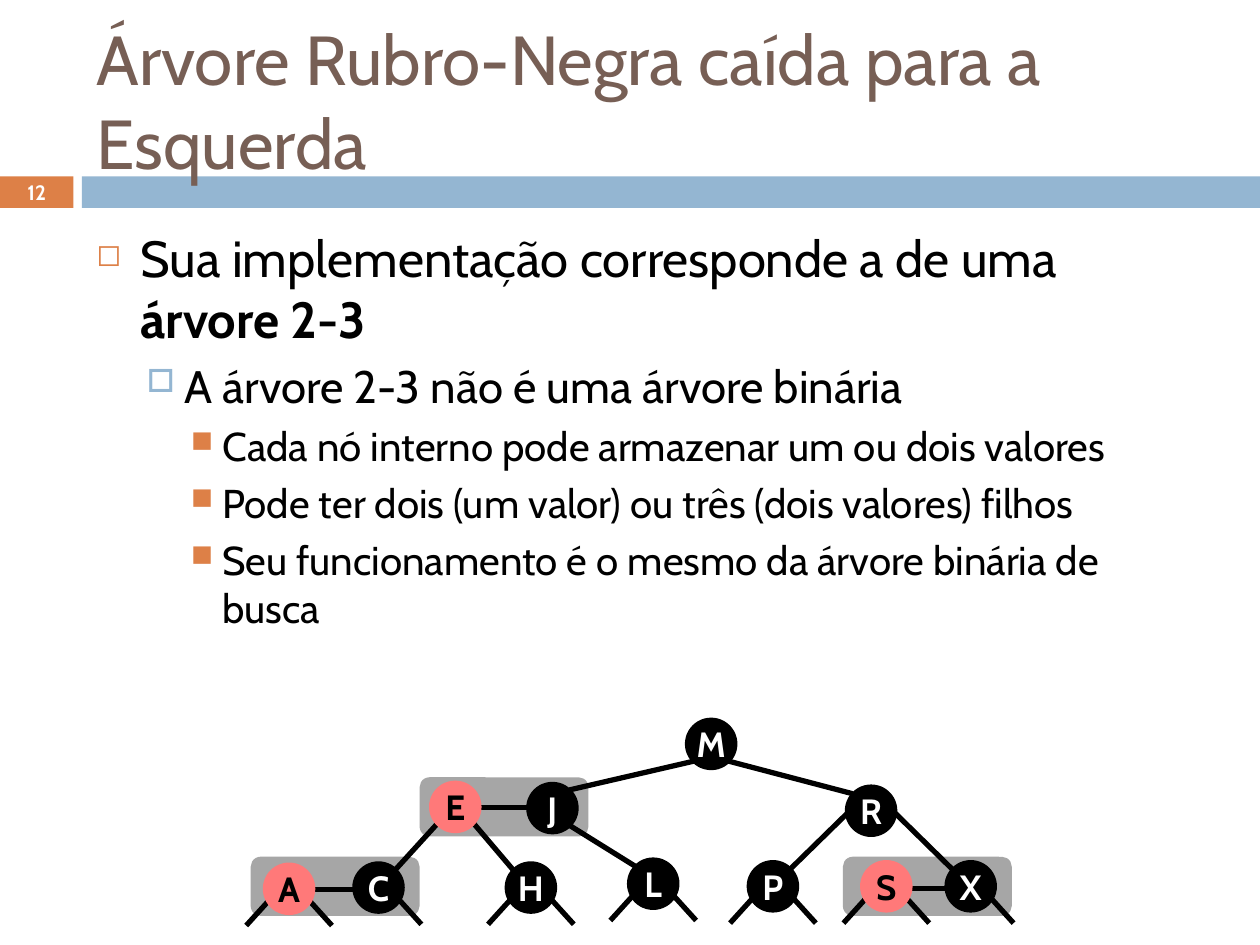
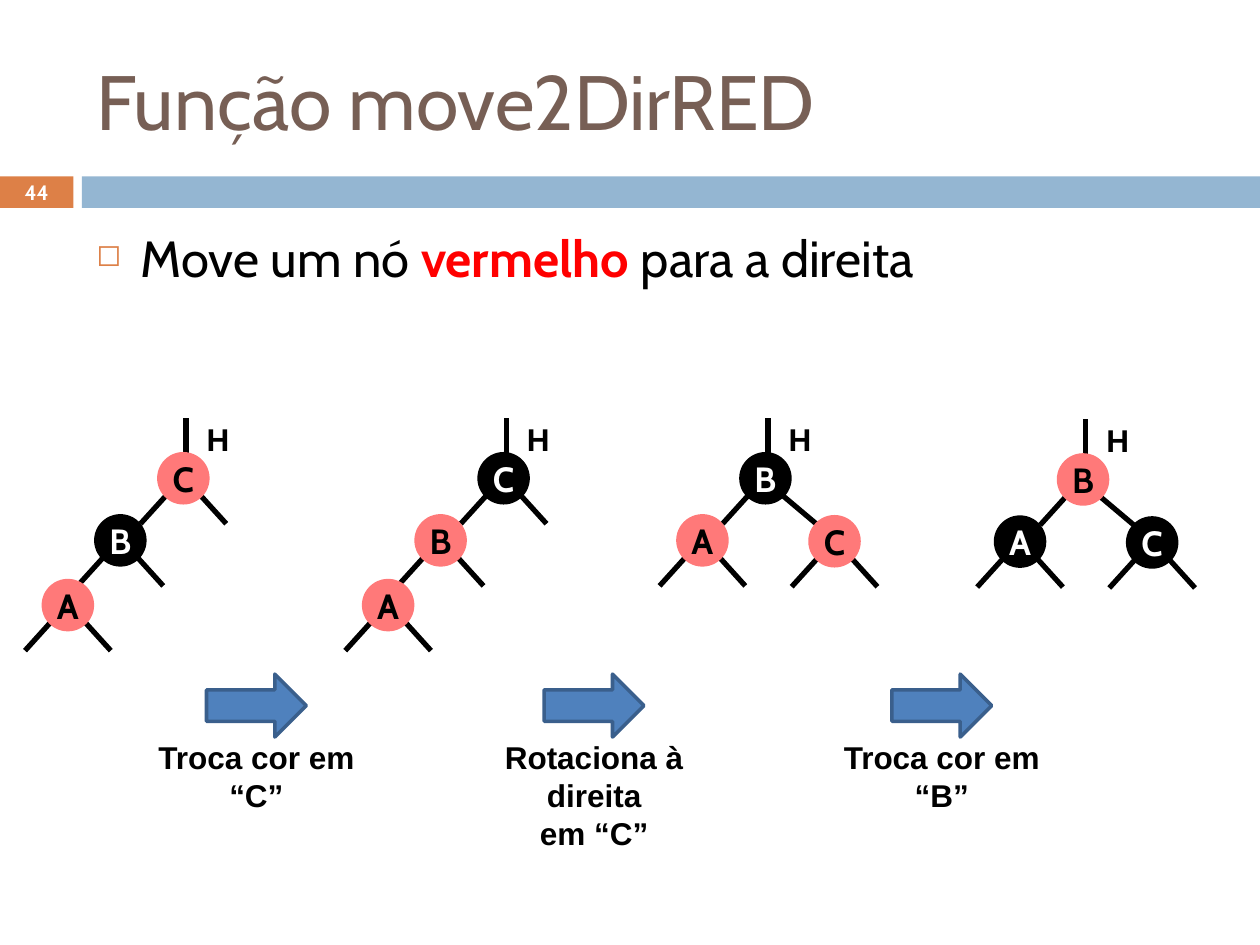
from lxml import etree
from pptx import Presentation
from pptx.dml.color import RGBColor
from pptx.enum.shapes import MSO_CONNECTOR, MSO_SHAPE
from pptx.enum.text import MSO_ANCHOR, MSO_AUTO_SIZE, PP_ALIGN
from pptx.oxml.ns import qn
from pptx.util import Pt

RECTANGLE, ROUNDED = MSO_SHAPE.RECTANGLE, MSO_SHAPE.ROUNDED_RECTANGLE
OVAL, RIGHT_ARROW = MSO_SHAPE.OVAL, MSO_SHAPE.RIGHT_ARROW
STRAIGHT = MSO_CONNECTOR.STRAIGHT
MIDDLE = MSO_ANCHOR.MIDDLE
NO_AUTOFIT = MSO_AUTO_SIZE.NONE
LEFT, CENTER = PP_ALIGN.LEFT, PP_ALIGN.CENTER

COLORS = {
    "title": "775F55", "orange": "DD8047", "blue": "94B6D2",
    "black": "000000", "white": "FFFFFF", "red": "FF0000",
    "red_node": "FF7979", "pair": "A6A6A6",
    "arrow": "4F81BD", "arrow_edge": "3A5F8C",
}
NODE_SIZE = 28

# Bullet levels: left margin, hanging indent, space before, character, colour, percent, font size
LEVELS = [
    (25.2, 25.2, 7, "◻", "orange", 60, 29),
    (50.4, 21.6, 5.5, "□", "blue", 70, 26),
    (72, 18, 5, "■", "orange", 75, 23),
]

SLIDES = [
    ("Árvore Rubro-Negra caída para a Esquerda", 39.6, "12", [
        (0, [("Sua implementação corresponde a de uma ", "black", False),
             ("árvore 2-3", "black", True)]),
        (1, [("A árvore 2-3 não é uma árvore binária", "black", False)]),
        (2, [("Cada nó interno pode armazenar um ou dois valores", "black", False)]),
        (2, [("Pode ter dois (um valor) ou três (dois valores) filhos", "black", False)]),
        (2, [("Seu funcionamento é o mesmo da árvore binária de busca", "black", False)]),
    ]),
    ("Função move2DirRED", 44, "44", [
        (0, [("Move um nó ", "black", False), ("vermelho ", "red", True),
             ("para a direita", "black", False)]),
    ]),
]


def add_run(paragraph, text, size, color, bold=True, font="Cabin"):
    run = paragraph.add_run()
    run.text = text
    run.font.size = Pt(size)
    run.font.name = font
    run.font.bold = bold
    run.font.color.rgb = RGBColor.from_string(COLORS[color])


def add_filled(slide, kind, x, y, width, height, fill, edge=None):
    """Add a flat preset shape with no text insets and an optional 2 pt edge."""
    shape = slide.shapes.add_shape(kind, Pt(x), Pt(y), Pt(width), Pt(height))
    shape.shadow.inherit = False
    shape.fill.solid()
    shape.fill.fore_color.rgb = RGBColor.from_string(COLORS[fill])
    if edge:
        shape.line.color.rgb = RGBColor.from_string(COLORS[edge])
        shape.line.width = Pt(2)
    else:
        shape.line.fill.background()
    frame = shape.text_frame
    frame.margin_left = frame.margin_right = frame.margin_top = frame.margin_bottom = 0
    frame.vertical_anchor = MIDDLE
    frame.word_wrap = False
    frame.paragraphs[0].alignment = CENTER
    return shape


prs = Presentation()
prs.slide_width, prs.slide_height = Pt(720), Pt(540)

# Title, bands, slide number and bullets
for title_text, title_size, number, bullets in SLIDES:
    slide = prs.slides.add_slide(prs.slide_layouts[5])
    title = slide.shapes.title
    title.left, title.top, title.width, title.height = Pt(48), Pt(18), Pt(642), Pt(78)
    title.text_frame.auto_size = NO_AUTOFIT
    title.text_frame.vertical_anchor = MIDDLE
    title.text_frame.paragraphs[0].alignment = LEFT
    add_run(title.text_frame.paragraphs[0], title_text, title_size, "title", False)

    number_band = add_filled(slide, RECTANGLE, 0, 100.8, 42, 18, "orange")
    add_run(number_band.text_frame.paragraphs[0], number, 11.9, "white")
    title_band = add_filled(slide, RECTANGLE, 46.8, 100.8, 673.2, 18, "blue")
    for band in (number_band, title_band):
        title._element.addprevious(band._element)

    body = slide.shapes.add_textbox(Pt(48), Pt(126), Pt(642), Pt(354)).text_frame
    body.word_wrap = True
    for index, (level, runs) in enumerate(bullets):
        margin, hanging, before, char, color, percent, size = LEVELS[level]
        paragraph = body.add_paragraph() if index else body.paragraphs[0]
        paragraph.level = level
        properties = paragraph._p.get_or_add_pPr()
        properties.set("marL", str(Pt(margin)))
        properties.set("indent", str(-Pt(hanging)))
        bullet_color = etree.SubElement(properties, qn("a:buClr"))
        etree.SubElement(bullet_color, qn("a:srgbClr"), val=COLORS[color])
        etree.SubElement(properties, qn("a:buSzPct"), val=str(percent * 1000))
        etree.SubElement(properties, qn("a:buChar"), char=char)
        if index:
            paragraph.space_before = Pt(before)
        for text, text_color, bold in runs:
            add_run(paragraph, text, size, text_color, bold)

tree_slide, move_slide = prs.slides

# Pairs of values that form one node of the 2-3 tree
for x, y in [(481.7, 489.6), (143.3, 489.6), (239.8, 444.2)]:
    add_filled(tree_slide, ROUNDED, x, y, 96.5, 33.8, "pair")

# Nodes: slide, label, centre x, centre y, fill
nodes = [(tree_slide, *node) for node in [
    ("M", 406.4, 425.1, "black"), ("E", 260.2, 461.1, "red_node"),
    ("J", 315.7, 461.8, "black"), ("R", 497.8, 463.3, "black"),
    ("A", 165.2, 507.9, "red_node"), ("C", 216.3, 507.2, "black"),
    ("H", 303.4, 507.2, "black"), ("L", 373.3, 505, "black"),
    ("P", 441.7, 506.5, "black"), ("S", 506.5, 506.5, "red_node"),
    ("X", 554.7, 506.5, "black"),
]]
links = [(tree_slide, *ends) for ends in [
    (265.7, 461.5, 324.7, 461.5), (499.7, 507.6, 558.7, 507.6),
    (162.7, 508.3, 221.8, 508.3), (226.1, 496.8, 262.8, 456.5),
    (256.3, 453.6, 293, 496.8), (325.4, 451.4, 396.7, 434.9),
    (325.4, 471.6, 363.6, 495.4), (487.4, 453.6, 416.2, 434.9),
    (451.4, 496.8, 488.2, 460.8), (507.6, 460.8, 544.3, 496.8),
]]
for _, label, x, y, _ in nodes[4:]:
    for side in ((1,) if label in "CX" else (-1, 1)):
        links.append((tree_slide, x + side * 10, y + 5, x + side * 24.5, y + 21))

# Stages of the move: root x, root y, then label, offset from the root and fill of each node
ROOT, LEFT_CHILD, GRANDCHILD, RIGHT_CHILD = (0, 0), (-36, 35.5), (-66, 72.5), (39.5, 36)
STAGES = [
    (104.8, 273.3, [("C", ROOT, "red_node"), ("B", LEFT_CHILD, "black"),
                    ("A", GRANDCHILD, "red_node")]),
    (287.8, 273.3, [("C", ROOT, "black"), ("B", LEFT_CHILD, "red_node"),
                    ("A", GRANDCHILD, "red_node")]),
    (437.4, 273.3, [("B", ROOT, "black"), ("A", LEFT_CHILD, "red_node"),
                    ("C", RIGHT_CHILD, "red_node")]),
    (618.9, 274, [("B", ROOT, "red_node"), ("A", LEFT_CHILD, "black"),
                  ("C", RIGHT_CHILD, "black")]),
]
for root_x, root_y, members in STAGES:
    offsets = [offset for _, offset, _ in members]
    links.append((move_slide, root_x + 1.5, root_y - 14.5, root_x + 1.5, root_y - 34.5))
    for label, (dx, dy), fill in members:
        x, y = root_x + dx, root_y + dy
        reach = 29 if (dx, dy) == ROOT and RIGHT_CHILD in offsets else 24.5
        nodes.append((move_slide, label, x, y, fill))
        links.append((move_slide, x - 10, y + 10, x - 24.5, y + 26))
        links.append((move_slide, x + 10, y + 10, x + reach, y + 26))
    root_label = move_slide.shapes.add_textbox(
        Pt(root_x - 21.2), Pt(root_y - 37), Pt(82), Pt(29)).text_frame
    root_label.word_wrap = True
    root_label.paragraphs[0].alignment = CENTER
    add_run(root_label.paragraphs[0], "H", 18, "black", font="Arial")

for slide, x1, y1, x2, y2 in links:
    link = slide.shapes.add_connector(STRAIGHT, Pt(x1), Pt(y1), Pt(x2), Pt(y2))
    link.line.color.rgb = RGBColor.from_string(COLORS["black"])
    link.line.width = Pt(3)
    etree.SubElement(link._element.spPr, qn("a:effectLst"))

for slide, label, x, y, fill in nodes:
    node = add_filled(slide, OVAL, x - NODE_SIZE / 2, y - NODE_SIZE / 2,
                      NODE_SIZE, NODE_SIZE, fill, fill)
    add_run(node.text_frame.paragraphs[0], label, 20,
            "white" if fill == "black" else "black")

# Steps between the stages
STEPS = [
    (146.5, 51, ["Troca cor em “C”"]),
    (339.5, 73, ["Rotaciona à direita", "em “C”"]),
    (538.2, 73, ["Troca cor em", "“B”"]),
]
for center, height, lines in STEPS:
    add_filled(move_slide, RIGHT_ARROW, center - 28.5, 385.2, 57, 36, "arrow", "arrow_edge")
    caption = move_slide.shapes.add_textbox(
        Pt(center - 77.4), Pt(418.3), Pt(154.8), Pt(height)).text_frame
    caption.word_wrap = True
    for index, text in enumerate(lines):
        paragraph = caption.add_paragraph() if index else caption.paragraphs[0]
        paragraph.alignment = CENTER
        add_run(paragraph, text, 18, "black", font="Arial")

prs.save("out.pptx")
